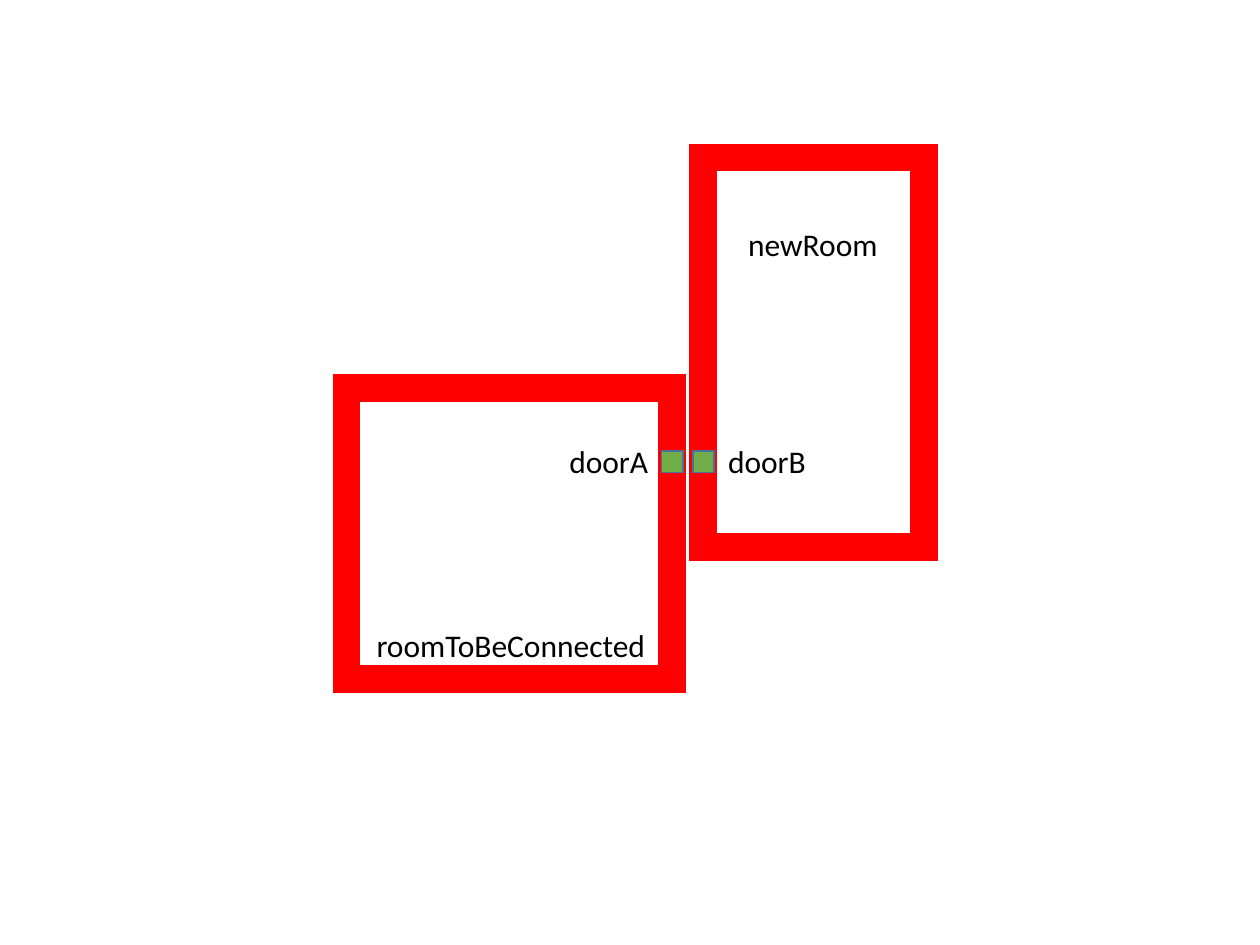
from dataclasses import dataclass
from lxml.etree import SubElement
from pptx import Presentation
from pptx.dml.color import RGBColor
from pptx.enum.shapes import MSO_SHAPE
from pptx.enum.text import MSO_AUTO_SIZE
from pptx.oxml.ns import qn
from pptx.util import Inches, Pt


@dataclass(frozen=True)
class Theme:
    wall: RGBColor = RGBColor(0xFF, 0x00, 0x00)
    door: RGBColor = RGBColor(0x70, 0xAD, 0x47)
    edge: RGBColor = RGBColor(0x43, 0x73, 0x9E)
    ink: RGBColor = RGBColor(0x00, 0x00, 0x00)
    font: str = "Calibri"
    size: int = 18
    thick: int = 16
    thin: int = 1


THEME = Theme()
DOOR = 0.17


def add_rect(slide, box, line, width, fill=None):
    rect = slide.shapes.add_shape(MSO_SHAPE.RECTANGLE, *map(Inches, box))
    rect.shadow.inherit = False
    if fill is None:
        rect.fill.background()
    else:
        rect.fill.solid()
        rect.fill.fore_color.rgb = fill
    rect.line.color.rgb = line
    rect.line.width = Pt(width)
    # Square corners
    SubElement(rect.line._ln, qn("a:miter"), lim="800000")


def add_label(slide, text, left, top, width):
    label = slide.shapes.add_textbox(*map(Inches, (left, top, width, 0.4)))
    frame = label.text_frame
    frame.text = text
    frame.word_wrap = False
    frame.auto_size = MSO_AUTO_SIZE.SHAPE_TO_FIT_TEXT
    font = frame.paragraphs[0].runs[0].font
    font.name, font.size = THEME.font, Pt(THEME.size)
    font.color.rgb = THEME.ink


def add_room(slide, box, door, labels):
    """Draw a room; door and labels are offset from its top left corner."""
    left, top = box[:2]
    # Walls
    add_rect(slide, box, THEME.wall, THEME.thick)
    # Door
    spot = (left + door[0], top + door[1], DOOR, DOOR)
    add_rect(slide, spot, THEME.edge, THEME.thin, THEME.door)
    # Names
    for text, x, y, width in labels:
        add_label(slide, text, left + x, top + y, width)


deck = Presentation()
deck.slide_width, deck.slide_height = Inches(10), Inches(7.5)
slide = deck.slides.add_slide(deck.slide_layouts[6])

# Room to be connected
add_room(slide, (2.75, 3.08, 2.58, 2.31), (2.5, 0.5),
         [("doorA", 1.67, 0.38, 0.83),
          ("roomToBeConnected", 0.14, 1.84, 2.36)])

# New room
add_room(slide, (5.58, 1.25, 1.75, 3.09), (-0.08, 2.33),
         [("doorB", 0.1, 2.21, 0.83),
          ("newRoom", 0.26, 0.49, 1.24)])

deck.save("out.pptx")
